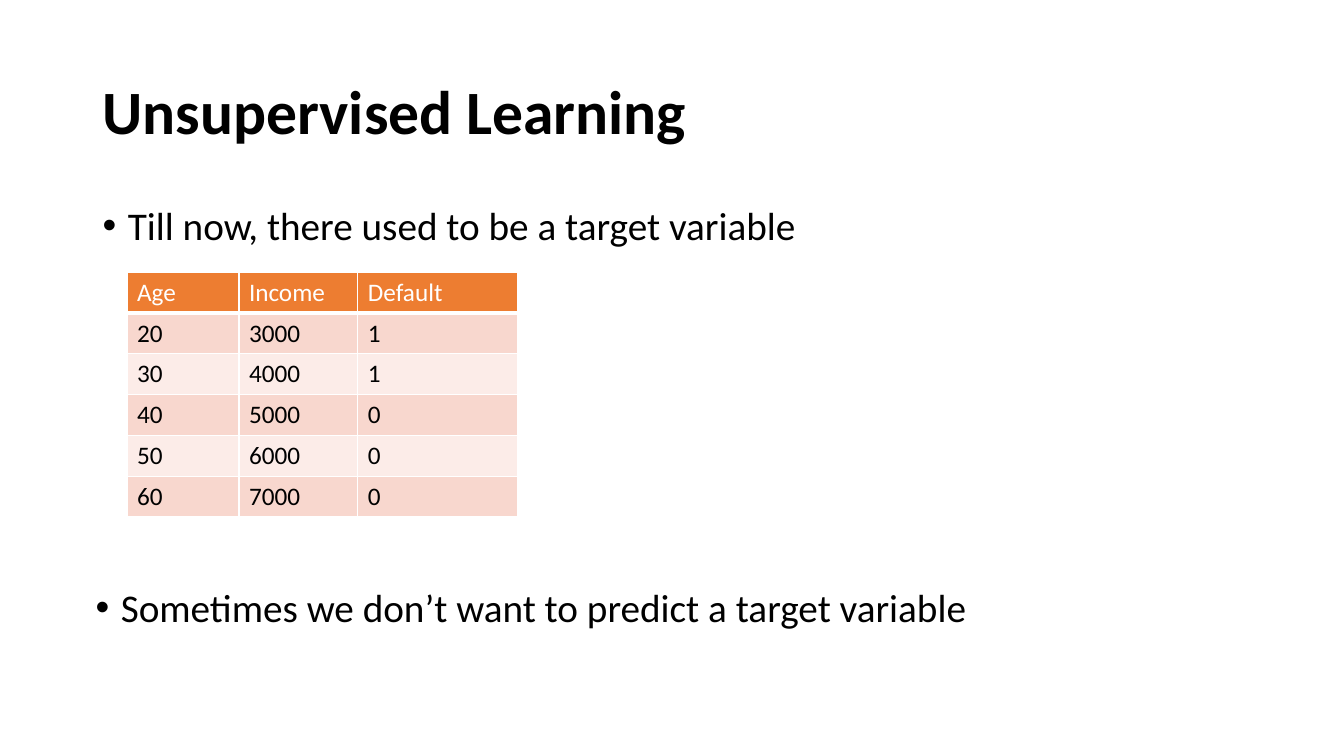
from dataclasses import dataclass

from pptx import Presentation
from pptx.dml.color import RGBColor
from pptx.enum.text import MSO_ANCHOR
from pptx.oxml.ns import qn
from pptx.util import Inches, Pt
from lxml.etree import SubElement


@dataclass(frozen=True)
class Theme:
    font: str = "Calibri"
    title_size: int = 44
    body_size: int = 28
    table_size: int = 18
    text: str = "000000"
    header_text: str = "FFFFFF"
    header_fill: str = "ED7D31"
    odd_fill: str = "F8D7CE"
    even_fill: str = "FCECE8"
    border: str = "FFFFFF"
    thin_border: int = 1
    thick_border: int = 3


THEME = Theme()

LOAN_ROWS = [
    ("Age", "Income", "Default"),
    ("20", "3000", "1"),
    ("30", "4000", "1"),
    ("40", "5000", "0"),
    ("50", "6000", "0"),
    ("60", "7000", "0"),
]
COLUMN_WIDTHS = (1.11, 1.18, 1.58)


def style_paragraph(paragraph, size, color, bold=False):
    for run in paragraph.runs:
        run.font.name = THEME.font
        run.font.size = Pt(size)
        run.font.bold = bold
        run.font.color.rgb = RGBColor.from_string(color)


def add_text(slide, box, text, size, bold=False, anchor=MSO_ANCHOR.TOP):
    shape = slide.shapes.add_textbox(*map(Inches, box))
    text_frame = shape.text_frame
    text_frame.word_wrap = True
    text_frame.vertical_anchor = anchor
    text_frame.text = text
    paragraph = text_frame.paragraphs[0]
    paragraph.line_spacing = 0.9
    style_paragraph(paragraph, size, THEME.text, bold)
    return paragraph


def add_title(slide, box, text):
    add_text(slide, box, text, THEME.title_size, True, MSO_ANCHOR.MIDDLE)


def add_bullet(slide, box, text):
    paragraph = add_text(slide, box, text, THEME.body_size)
    paragraph.space_before = Pt(10)
    properties = paragraph._p.get_or_add_pPr()
    properties.set("marL", str(Inches(0.25)))
    properties.set("indent", str(Inches(-0.25)))
    SubElement(properties, qn("a:buFont"), typeface="Arial")
    SubElement(properties, qn("a:buChar"), char="•")


def set_borders(cell, bottom_width):
    properties = cell._tc.get_or_add_tcPr()
    widths = dict.fromkeys(("lnL", "lnR", "lnT"), THEME.thin_border)
    widths["lnB"] = bottom_width
    for side, width in widths.items():
        line = SubElement(properties, qn(f"a:{side}"), w=str(Pt(width)))
        fill = SubElement(line, qn("a:solidFill"))
        SubElement(fill, qn("a:srgbClr"), val=THEME.border)


def style_cell(cell, row_index):
    if row_index == 0:
        color, fill = THEME.header_text, THEME.header_fill
        bottom_width = THEME.thick_border
    else:
        color = THEME.text
        fill = THEME.odd_fill if row_index % 2 else THEME.even_fill
        bottom_width = THEME.thin_border
    set_borders(cell, bottom_width)
    cell.fill.solid()
    cell.fill.fore_color.rgb = RGBColor.from_string(fill)
    style_paragraph(cell.text_frame.paragraphs[0], THEME.table_size, color)


def add_loan_table(slide, box, rows, column_widths):
    frame = slide.shapes.add_table(len(rows), len(column_widths), *map(Inches, box))
    table = frame.table
    for column, width in zip(table.columns, column_widths):
        column.width = Inches(width)
    for row_index, values in enumerate(rows):
        for column_index, value in enumerate(values):
            cell = table.cell(row_index, column_index)
            cell.text = value
            style_cell(cell, row_index)


def build_learning_slide(presentation):
    slide = presentation.slides.add_slide(presentation.slide_layouts[6])
    add_title(slide, (0.92, 0.41, 11.5, 1.45), "Unsupervised Learning")
    add_bullet(slide, (0.92, 2, 11.5, 0.53),
               "Till now, there used to be a target variable")
    add_loan_table(slide, (1.26, 2.7, sum(COLUMN_WIDTHS), 2.43),
                   LOAN_ROWS, COLUMN_WIDTHS)
    add_bullet(slide, (0.85, 5.79, 11.5, 0.53),
               "Sometimes we don’t want to predict a target variable")


def main():
    presentation = Presentation()
    presentation.slide_width = Inches(13.33)
    presentation.slide_height = Inches(7.5)
    build_learning_slide(presentation)
    presentation.save("out.pptx")


if __name__ == "__main__":
    main()
